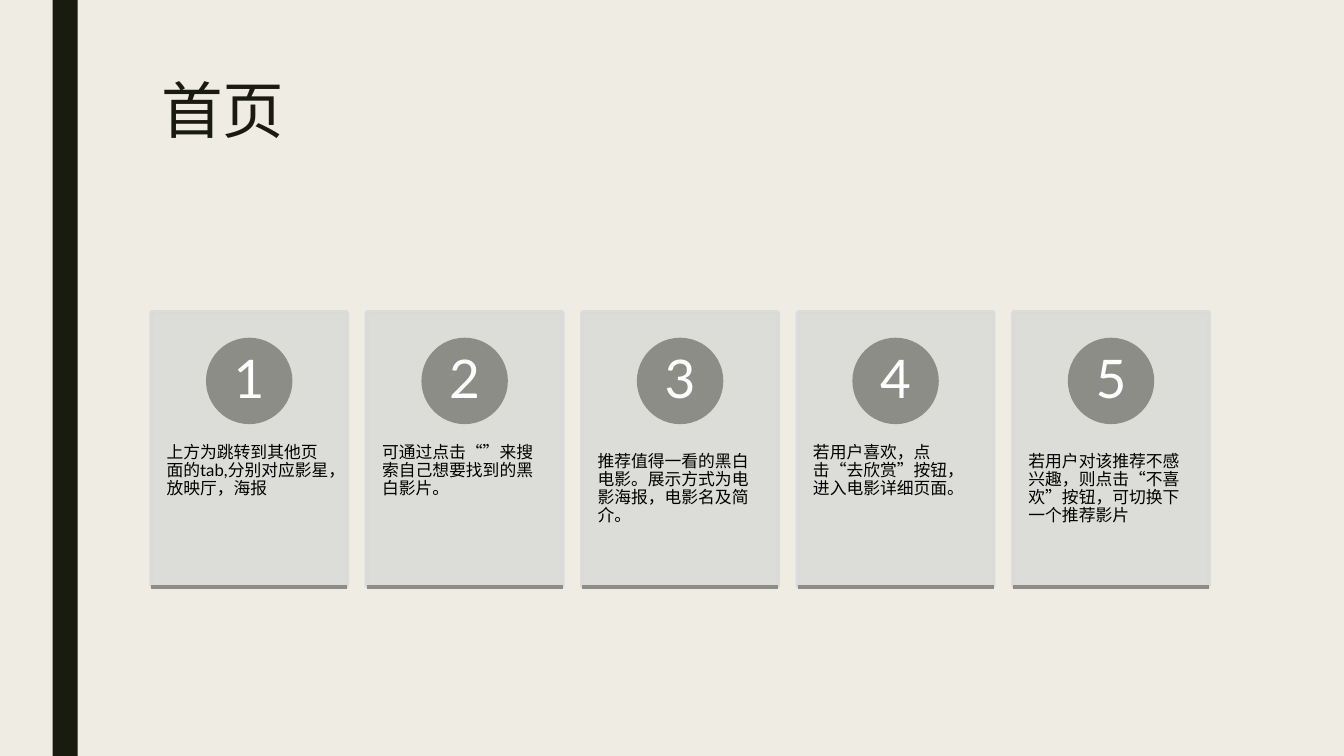
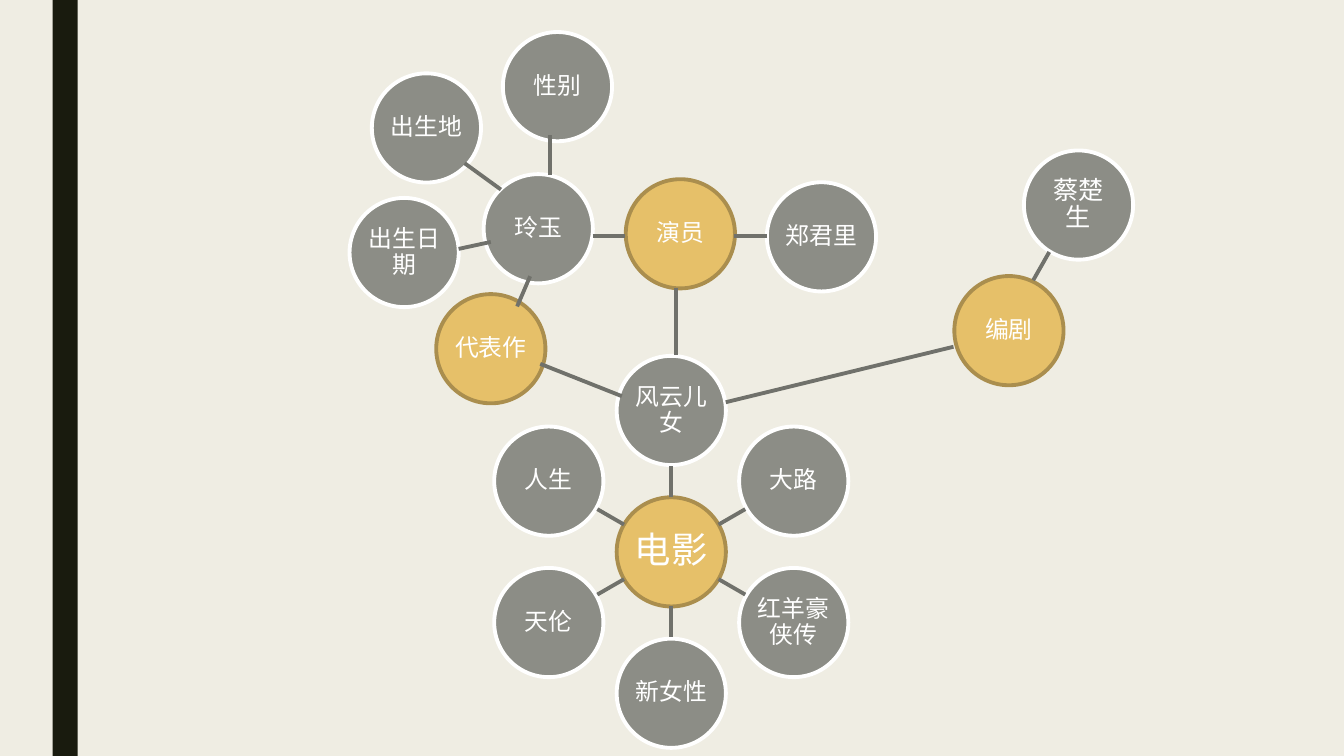
import math
from dataclasses import dataclass
from typing import Any

import lxml.etree
import pptx
import pptx.dml.color
import pptx.enum.shapes
import pptx.enum.text
import pptx.oxml.ns
import pptx.util

Pt = pptx.util.Pt
RGBColor = pptx.dml.color.RGBColor
SHAPE = pptx.enum.shapes.MSO_SHAPE
ALIGN = pptx.enum.text.PP_ALIGN
ANCHOR = pptx.enum.text.MSO_ANCHOR

# Shared look
PAPER = RGBColor(0xEF, 0xED, 0xE3)
INK = RGBColor(0x19, 0x1B, 0x0E)
BLACK = RGBColor(0, 0, 0)
WHITE = RGBColor(0xFF, 0xFF, 0xFF)
CARD_GREY = RGBColor(0xDA, 0xDB, 0xD9)
GREY = RGBColor(0x8C, 0x8D, 0x86)
LINK_GREY = RGBColor(0x70, 0x71, 0x6B)
GOLD = RGBColor(0xE6, 0xC0, 0x69)
GOLD_EDGE = RGBColor(0xAA, 0x8E, 0x4E)
FONT = "Lato"
LINE_WIDTH = 2.75
SLIDE_WIDTH, SLIDE_HEIGHT = 960, 540

# Home page cards
CARD_LEFT, CARD_TOP, CARD_WIDTH, CARD_HEIGHT = 108, 223, 140, 196
CARD_PITCH = 153.9
BADGE_SIZE, BADGE_TOP = 59, 242.6
CAPTION_TOP, CAPTION_HEIGHT = 297.5, 117
CAPTIONS = [
    "上方为跳转到其他页面的tab,分别对应影星，放映厅，海报",
    "可通过点击“”来搜索自己想要找到的黑白影片。",
    "推荐值得一看的黑白电影。展示方式为电影海报，电影名及简介。",
    "若用户喜欢，点击“去欣赏”按钮，进入电影详细页面。",
    "若用户对该推荐不感兴趣，则点击“不喜欢”按钮，可切换下一个推荐影片",
]

# Relation map
NODE_SIZE = 78
HUB_X, HUB_Y = 479.5, 394.2
ORBIT = 101
FILMS = ["风云儿女", "大路", "红羊豪侠传", "新女性", "天伦", "人生"]


@dataclass(frozen=True)
class Node:
    label: str
    x: float
    y: float
    category: bool = False
    size: float = 17


@dataclass(frozen=True)
class Link:
    x1: float
    y1: float
    x2: float
    y2: float


NODES = [
    Node("演员", 486, 167, category=True),
    Node("郑君里", 586.8, 169.2),
    Node("玲玉", 384.5, 163.4),
    Node("出生地", 304.6, 91.4),
    Node("性别", 398.2, 61.9),
    Node("出生日期", 288.7, 180.4),
    Node("代表作", 350.6, 249.1, category=True),
    Node("编剧", 720.7, 236.2, category=True),
    Node("蔡楚生", 770.4, 146.5, size=18),
]
LINKS = [
    Link(483.1, 253.4, 483.1, 205.9),
    Link(524.2, 168.5, 547.9, 168.5),
    Link(423.4, 168.5, 446.4, 168.5),
    Link(327.6, 177.8, 350.6, 172.8),
    Link(331.9, 116.6, 357.8, 135.4),
    Link(393.1, 96.5, 393.1, 125.3),
    Link(378.7, 197.3, 369.4, 218.9),
    Link(518.4, 287.3, 681.1, 247.7),
    Link(738, 200.2, 749.5, 180),
    Link(444.2, 283, 385.9, 259.9),
]


def apply(target: Any, formats: dict[str, Any]) -> None:
    for name, value in formats.items():
        setattr(target, name, value)


def write(shape: Any, text: str, size: float, color: RGBColor,
          align: Any = ALIGN.CENTER, anchor: Any = ANCHOR.MIDDLE,
          inset: tuple[float, float] = (1, 1), spacing: float = 0.9) -> None:
    """Fill a shape with one formatted paragraph; inset is (side, top)."""
    side, top = inset
    frame = shape.text_frame
    apply(frame, {"text": text, "word_wrap": True, "vertical_anchor": anchor,
                  "margin_left": Pt(side), "margin_right": Pt(side),
                  "margin_top": Pt(top), "margin_bottom": Pt(top)})
    paragraph = frame.paragraphs[0]
    apply(paragraph, {"alignment": align, "line_spacing": spacing})
    font = paragraph.runs[0].font
    apply(font, {"name": FONT, "size": Pt(size)})
    font.color.rgb = color


def draw_shape(slide: Any, kind: Any, left: float, top: float, width: float,
               height: float, fill: RGBColor, edge: RGBColor | None) -> Any:
    shape = slide.shapes.add_shape(kind, Pt(left), Pt(top), Pt(width), Pt(height))
    shape.shadow.inherit = False
    shape.fill.solid()
    shape.fill.fore_color.rgb = fill
    if edge is None:
        shape.line.fill.background()
    else:
        shape.line.color.rgb = edge
        shape.line.width = Pt(LINE_WIDTH)
    return shape


def draw_line(slide: Any, link: Link, color: RGBColor) -> None:
    line = slide.shapes.add_connector(
        pptx.enum.shapes.MSO_CONNECTOR.STRAIGHT,
        Pt(link.x1), Pt(link.y1), Pt(link.x2), Pt(link.y2))
    line.line.color.rgb = color
    line.line.width = Pt(LINE_WIDTH)
    lxml.etree.SubElement(line.element.spPr, pptx.oxml.ns.qn("a:effectLst"))


def set_opacity(shape: Any, percent: int) -> None:
    """Apply one opacity to both fill and outline."""
    for color in shape.element.spPr.iter(pptx.oxml.ns.qn("a:srgbClr")):
        alpha = lxml.etree.SubElement(color, pptx.oxml.ns.qn("a:alpha"))
        alpha.set("val", str(percent * 1000))


def style_master(deck: Any, slide: Any) -> None:
    """Set the background and move the dark side band to the master."""
    master = deck.slide_master
    master.background.fill.solid()
    master.background.fill.fore_color.rgb = PAPER
    band = draw_shape(slide, SHAPE.RECTANGLE, 37.5, 0, 18, SLIDE_HEIGHT, INK, None)
    band.element.nvSpPr.cNvPr.set("id", "20")
    master.shapes.element.append(band.element)


def draw_card(slide: Any, index: int, caption: str) -> None:
    left = CARD_LEFT + index * CARD_PITCH
    bottom = CARD_TOP + CARD_HEIGHT
    card = draw_shape(slide, SHAPE.RECTANGLE, left, CARD_TOP, CARD_WIDTH,
                      CARD_HEIGHT, CARD_GREY, CARD_GREY)
    set_opacity(card, 90)
    description = slide.shapes.add_textbox(
        Pt(left), Pt(CAPTION_TOP), Pt(CARD_WIDTH), Pt(CAPTION_HEIGHT))
    write(description, caption, 12, BLACK, ALIGN.LEFT, ANCHOR.TOP, (11, 26))
    badge = draw_shape(slide, SHAPE.OVAL, left + (CARD_WIDTH - BADGE_SIZE) / 2,
                       BADGE_TOP, BADGE_SIZE, BADGE_SIZE, GREY, GREY)
    write(badge, str(index + 1), 38, WHITE, inset=(4.5, 1))
    draw_line(slide, Link(left, bottom, left + CARD_WIDTH, bottom), GREY)


def draw_node(slide: Any, node: Node) -> None:
    fill, edge = (GOLD, GOLD_EDGE) if node.category else (GREY, WHITE)
    circle = draw_shape(slide, SHAPE.OVAL, node.x - NODE_SIZE / 2,
                        node.y - NODE_SIZE / 2, NODE_SIZE, NODE_SIZE, fill, edge)
    write(circle, node.label, node.size, WHITE)


def build_home(deck: Any) -> None:
    slide = deck.slides.add_slide(deck.slide_layouts[5])
    style_master(deck, slide)
    title = slide.shapes.title
    apply(title, {"left": Pt(108), "top": Pt(54),
                  "width": Pt(756), "height": Pt(117)})
    write(title, "首页", 44, INK, ALIGN.LEFT, ANCHOR.TOP, (7.2, 3.6), 0.89)
    for index, caption in enumerate(CAPTIONS):
        draw_card(slide, index, caption)


def build_relations(deck: Any) -> None:
    slide = deck.slides.add_slide(deck.slide_layouts[6])
    # Films in orbit around the hub
    draw_node(slide, Node("电影", HUB_X, HUB_Y, category=True, size=26))
    inner, outer = NODE_SIZE / 2, ORBIT - NODE_SIZE / 2 - 1
    for index, film in enumerate(FILMS):
        angle = math.radians(index * 360 / len(FILMS) - 90)
        dx, dy = math.cos(angle), math.sin(angle)
        draw_node(slide, Node(film, HUB_X + ORBIT * dx, HUB_Y + ORBIT * dy))
        draw_line(slide, Link(HUB_X + inner * dx, HUB_Y + inner * dy,
                              HUB_X + outer * dx, HUB_Y + outer * dy), LINK_GREY)
    # People, their facts and roles
    for node in NODES:
        draw_node(slide, node)
    for link in LINKS:
        draw_line(slide, link, LINK_GREY)


def main() -> None:
    deck = pptx.Presentation()
    apply(deck, {"slide_width": Pt(SLIDE_WIDTH), "slide_height": Pt(SLIDE_HEIGHT)})
    build_home(deck)
    build_relations(deck)
    deck.save("out.pptx")


if __name__ == "__main__":
    main()
